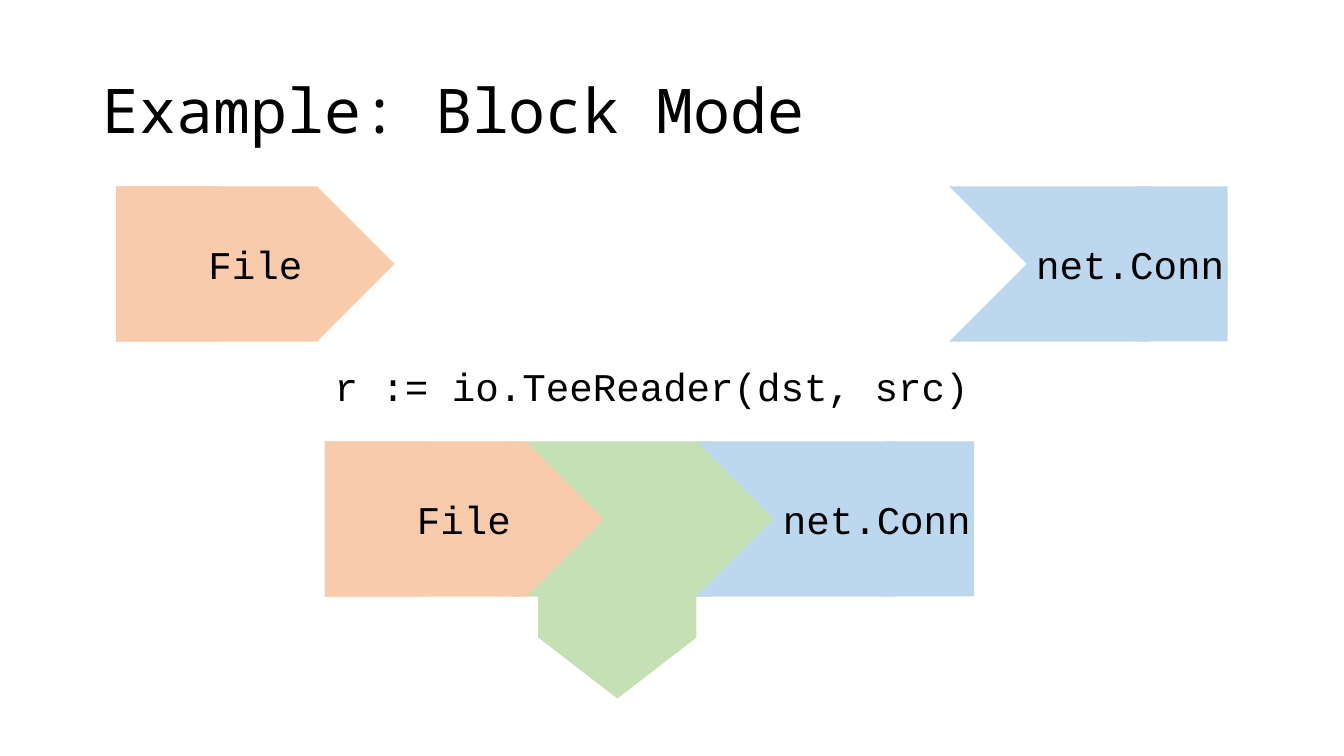
from pptx import Presentation
from pptx.dml.color import RGBColor
from pptx.enum.shapes import MSO_SHAPE
from pptx.enum.text import MSO_ANCHOR, MSO_AUTO_SIZE, PP_ALIGN
from pptx.util import Pt

RECTANGLE = MSO_SHAPE.RECTANGLE
CHEVRON = MSO_SHAPE.CHEVRON
PENTAGON = MSO_SHAPE.PENTAGON
MIDDLE = MSO_ANCHOR.MIDDLE
LEFT = PP_ALIGN.LEFT
CENTER = PP_ALIGN.CENTER
NO_AUTOFIT = MSO_AUTO_SIZE.NONE

BLACK = RGBColor(0x00, 0x00, 0x00)
ORANGE = RGBColor(0xF8, 0xCB, 0xAD)
BLUE = RGBColor(0xBD, 0xD7, 0xEE)
GREEN = RGBColor(0xC5, 0xE0, 0xB4)

TITLE_FONT = "Noto Sans Mono"
CODE_FONT = "Courier New"

TITLE_ONLY_LAYOUT = 5
BLOCK_WIDTH = 198.9
BLOCK_HEIGHT = 110.9
FILE_END_WIDTH = 75
CONNECTION_END_WIDTH = 64
SEPARATE_TOP = 133.1
JOINED_TOP = 315.2
JOINED_LEFT = 231.9


def add_text(text_frame, text, font_name, size, alignment):
    paragraph = text_frame.paragraphs[0]
    paragraph.alignment = alignment
    run = paragraph.add_run()
    run.text = text
    run.font.name = font_name
    run.font.size = Pt(size)
    run.font.color.rgb = BLACK
    return paragraph


def add_title(slide, text):
    title = slide.shapes.title
    title.left, title.top = Pt(66), Pt(28.75)
    title.width, title.height = Pt(828), Pt(104.4)
    title.text_frame.auto_size = NO_AUTOFIT
    title.text_frame.vertical_anchor = MIDDLE
    paragraph = add_text(title.text_frame, text, TITLE_FONT, 44, LEFT)
    paragraph.line_spacing = 0.9


def add_block(slide, kind, left, top, width, height, color):
    shape = slide.shapes.add_shape(kind, Pt(left), Pt(top), Pt(width), Pt(height))
    shape.shadow.inherit = False
    shape.fill.solid()
    shape.fill.fore_color.rgb = color
    shape.line.fill.background()
    return shape


def add_chevron(slide, left, top, color):
    return add_block(slide, CHEVRON, left, top, BLOCK_WIDTH, BLOCK_HEIGHT, color)


def add_code(slide, text, left, top, width):
    box = slide.shapes.add_textbox(Pt(left), Pt(top), Pt(width), Pt(41.2))
    box.text_frame.word_wrap = True
    add_text(box.text_frame, text, CODE_FONT, 28, LEFT)


def add_file(slide, left, top):
    add_block(slide, RECTANGLE, left, top, FILE_END_WIDTH, BLOCK_HEIGHT, ORANGE)
    chevron = add_chevron(slide, left, top, ORANGE)
    chevron.text_frame.vertical_anchor = MIDDLE
    add_text(chevron.text_frame, "File", CODE_FONT, 28, CENTER)


def add_connection(slide, left, top):
    end_left = left + BLOCK_WIDTH - CONNECTION_END_WIDTH
    add_block(slide, RECTANGLE, end_left, top, CONNECTION_END_WIDTH, BLOCK_HEIGHT, BLUE)
    add_chevron(slide, left, top, BLUE)
    add_code(slide, "net.Conn", left + 55.1, top + 34.8, 180.7)


def add_tee(slide, left, top):
    add_chevron(slide, left, top, GREEN)
    outlet = add_block(slide, PENTAGON, 397.4, 398.9, 87.1, 113, GREEN)
    outlet.rotation = 90


def main():
    presentation = Presentation()
    presentation.slide_width = Pt(960)
    presentation.slide_height = Pt(540)
    layout = presentation.slide_layouts[TITLE_ONLY_LAYOUT]
    slide = presentation.slides.add_slide(layout)

    add_title(slide, "Example: Block Mode")
    add_file(slide, 82.9, SEPARATE_TOP)
    add_connection(slide, 678, SEPARATE_TOP)
    add_code(slide, "r := io.TeeReader(dst, src)", JOINED_LEFT, 255, 473)
    add_tee(slide, 364.1, JOINED_TOP)
    add_file(slide, JOINED_LEFT, JOINED_TOP)
    add_connection(slide, 497, JOINED_TOP)

    presentation.save("out.pptx")


if __name__ == "__main__":
    main()
